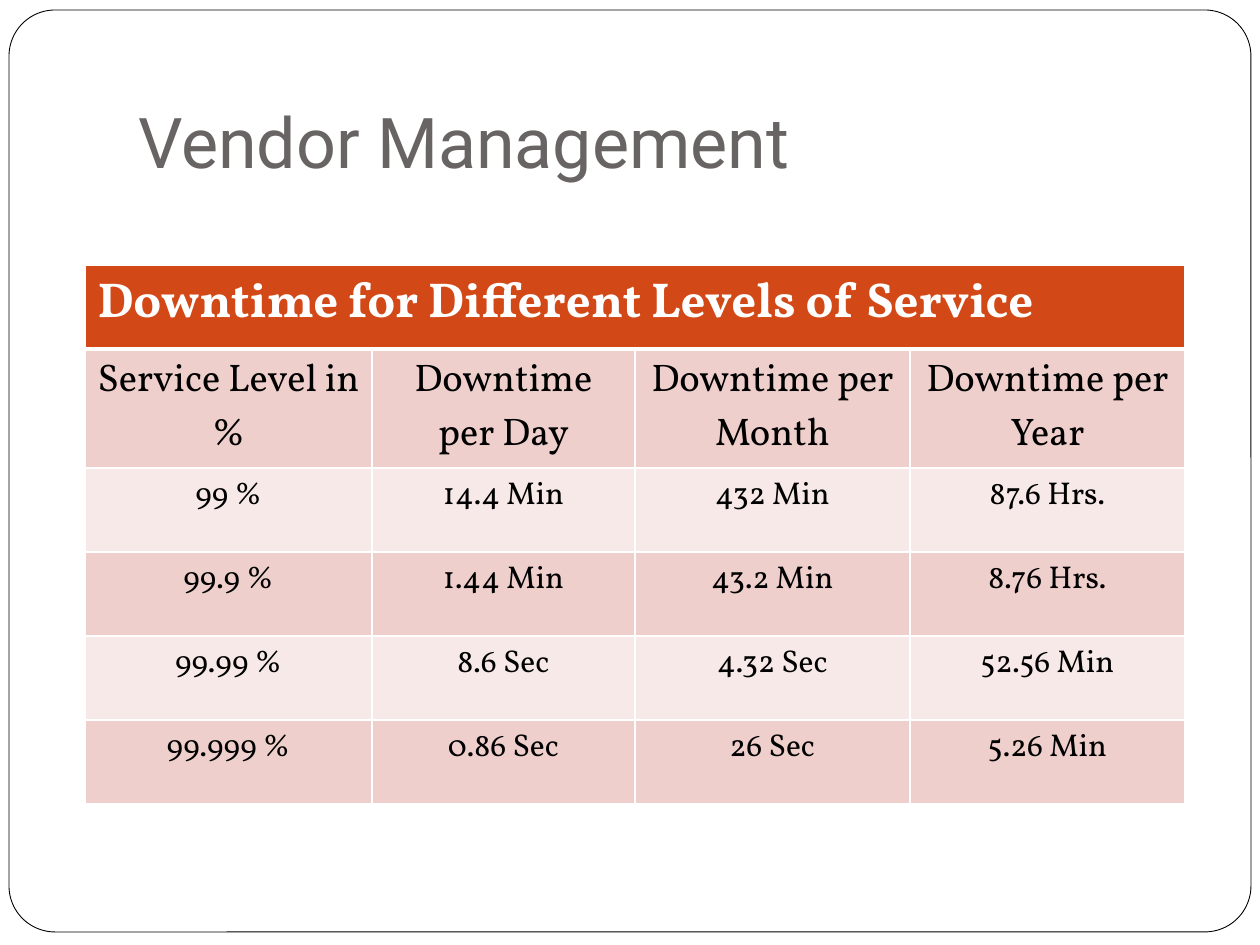
"""Build the vendor management slide with its downtime table."""
from lxml.etree import SubElement
from pptx import Presentation
from pptx.dml.color import RGBColor
from pptx.enum.shapes import MSO_SHAPE
from pptx.enum.text import MSO_ANCHOR, PP_ALIGN
from pptx.oxml.ns import qn
from pptx.util import Pt

PIXEL = 914400 // 126
WHITE = RGBColor(0xFF, 0xFF, 0xFF)
BLACK = RGBColor(0, 0, 0)
GRAY = RGBColor(0x69, 0x64, 0x64)
ORANGE = RGBColor(0xD3, 0x48, 0x17)
ROSE = RGBColor(0xEF, 0xCF, 0xCC)
PALE_ROSE = RGBColor(0xF7, 0xE9, 0xE8)

TITLE_FORMAT = {"name": "Roboto", "size": Pt(40), "bold": False}
BANNER_FORMAT = {"name": "Vollkorn", "size": Pt(28), "bold": True}
HEADING_FORMAT = {"name": "Vollkorn", "size": Pt(22), "bold": False}
VALUE_FORMAT = {"name": "Vollkorn", "size": Pt(18), "bold": False}

BANNER = "Downtime for Different Levels of Service"
ROWS = [
    ["Service Level in %", "Downtime per Day", "Downtime per Month", "Downtime per Year"],
    ["99 %", "14.4 Min", "432 Min", "87.6 Hrs."],
    ["99.9 %", "1.44 Min", "43.2 Min", "8.76 Hrs."],
    ["99.99 %", "8.6 Sec", "4.32 Sec", "52.56 Min"],
    ["99.999 %", "0.86 Sec", "26 Sec", "5.26 Min"],
]
COLUMN_WIDTHS = [287, 263, 275, 275]
ROW_HEIGHTS = [84, 119, 84, 84, 84, 84]


def pixels(*lengths):
    return [length * PIXEL for length in lengths]


def write(frame, text, color, formats, align=PP_ALIGN.LEFT):
    para = frame.paragraphs[0]
    para.alignment = align
    span = para.add_run()
    span.text = text
    span.font.color.rgb = color
    for name, value in formats.items():
        setattr(span.font, name, value)


def add_frame(page):
    frame = page.shapes.add_shape(MSO_SHAPE.ROUNDED_RECTANGLE, *pixels(9, 10, 1242, 922))
    frame.adjustments[0] = 0.05
    frame.shadow.inherit = False
    frame.fill.solid()
    frame.fill.fore_color.rgb = WHITE
    frame.line.color.rgb = BLACK
    frame.line.width = Pt(0.5)


def add_title(page, text):
    box = page.shapes.add_textbox(*pixels(126, 38, 1071, 157))
    box.text_frame.word_wrap = True
    box.text_frame.vertical_anchor = MSO_ANCHOR.BOTTOM
    box.text_frame.margin_bottom = 13 * PIXEL
    write(box.text_frame, text, GRAY, TITLE_FORMAT)


def style_cell(cell, fill, widths):
    properties = cell._tc.get_or_add_tcPr()
    for side, width in widths.items():
        line = SubElement(properties, qn(f"a:ln{side}"), w=str(Pt(width)))
        solid = SubElement(line, qn("a:solidFill"))
        SubElement(solid, qn("a:srgbClr"), val=str(WHITE))
    cell.fill.solid()
    cell.fill.fore_color.rgb = fill


def add_downtime_table(page):
    area = pixels(85, 265, sum(COLUMN_WIDTHS), sum(ROW_HEIGHTS))
    table = page.shapes.add_table(len(ROW_HEIGHTS), len(COLUMN_WIDTHS), *area).table
    for column, width in zip(table.columns, COLUMN_WIDTHS):
        column.width = width * PIXEL
    for row, height in zip(table.rows, ROW_HEIGHTS):
        row.height = height * PIXEL
    for cell in table.rows[0].cells:
        style_cell(cell, ORANGE, {"L": 1, "R": 1, "T": 1, "B": 3})
    banner = table.cell(0, 0)
    banner.merge(table.cell(0, len(COLUMN_WIDTHS) - 1))
    write(banner.text_frame, BANNER, WHITE, BANNER_FORMAT)
    for number, texts in enumerate(ROWS, 1):
        heading = number == 1
        fill = ROSE if number % 2 else PALE_ROSE
        formats = HEADING_FORMAT if heading else VALUE_FORMAT
        for cell, text in zip(table.rows[number].cells, texts):
            style_cell(cell, fill, {"L": 1, "R": 1, "T": 3 if heading else 1, "B": 1})
            write(cell.text_frame, text, BLACK, formats, PP_ALIGN.CENTER)


def main():
    deck = Presentation()
    deck.slide_width, deck.slide_height = pixels(1260, 945)
    page = deck.slides.add_slide(deck.slide_layouts[6])
    add_frame(page)
    add_title(page, "Vendor Management")
    add_downtime_table(page)
    deck.save("out.pptx")


main()
